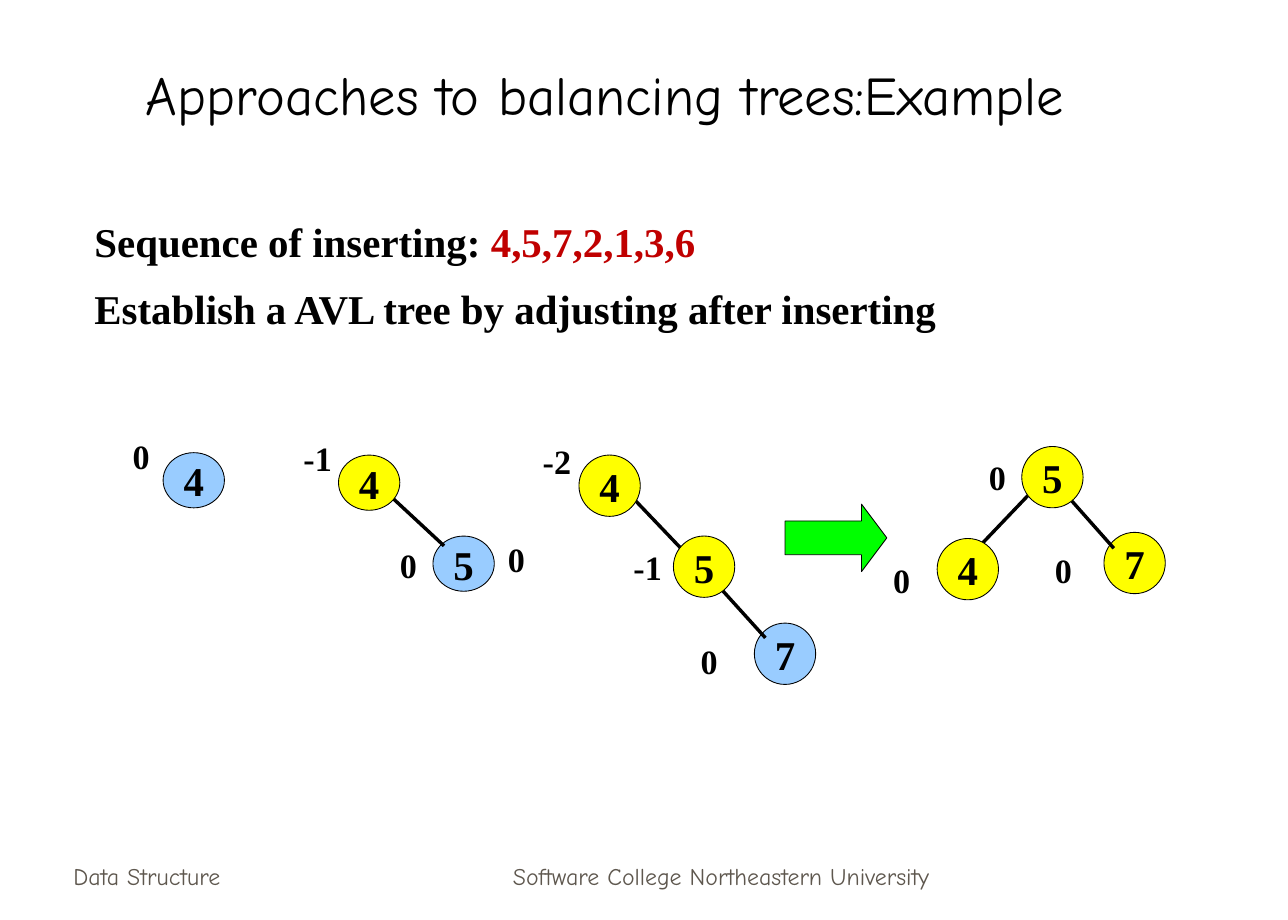
from pptx import Presentation
from pptx.dml.color import RGBColor
from pptx.enum.shapes import MSO_CONNECTOR, MSO_SHAPE
from pptx.enum.text import MSO_ANCHOR, MSO_AUTO_SIZE, PP_ALIGN
from pptx.oxml.ns import qn
from pptx.util import Pt

STRAIGHT = MSO_CONNECTOR.STRAIGHT
OVAL, RIGHT_ARROW = MSO_SHAPE.OVAL, MSO_SHAPE.RIGHT_ARROW
TOP, MIDDLE, BOTTOM = MSO_ANCHOR.TOP, MSO_ANCHOR.MIDDLE, MSO_ANCHOR.BOTTOM
LEFT, CENTER, JUSTIFY = PP_ALIGN.LEFT, PP_ALIGN.CENTER, PP_ALIGN.JUSTIFY
NO_AUTOFIT = MSO_AUTO_SIZE.NONE

SERIF, HAND = "Times New Roman", "Comic Neue"
BLACK, RED, GRAY = "000000", "C00000", "5E574E"
BLUE, YELLOW, GREEN = "99CCFF", "FFFF00", "00FF00"
NODE_WIDTH, LABEL_WIDTH = 36, 41.76

TREES = [
    {
        "height": 32.4,
        "label_height": 22.32,
        "new": ("4", 95.76, 265.68, BLUE),
        "edges": [],
        "nodes": [],
        "balances": [("0", 61.92, 256.32)],
    },
    {
        "height": 32.4,
        "label_height": 22.32,
        "new": ("5", 254.16, 314.64, BLUE),
        "edges": [(260.64, 320.4, 230.4, 292.32)],
        "nodes": [("4", 198.72, 267.12, YELLOW)],
        "balances": [("-1", 165.6, 257.76), ("0", 218.88, 320.4), ("0", 282.24, 316.8)],
    },
    {
        "height": 36,
        "label_height": 25.2,
        "new": ("7", 442.8, 365.76, BLUE),
        "edges": [(401.04, 323.28, 371.52, 292.32), (421.2, 343.44, 449.28, 374.4)],
        "nodes": [("4", 339.84, 267.12, YELLOW), ("5", 395.28, 314.64, YELLOW)],
        "balances": [("-2", 306, 257.76), ("-1", 359.28, 320.4), ("0", 395.28, 375.12)],
    },
    {
        "height": 36,
        "label_height": 25.2,
        "new": ("7", 648, 312.48, YELLOW),
        "edges": [(603.36, 290.88, 573.84, 321.84), (625.68, 290.16, 653.76, 321.84)],
        "nodes": [("4", 550.08, 316.08, YELLOW), ("5", 599.76, 262.08, YELLOW)],
        "balances": [("0", 564.48, 267.12), ("0", 508.32, 327.6), ("0", 603.36, 321.84)],
    },
]


def color(value):
    return RGBColor.from_string(value)


def place(shape, left, top, width, height):
    shape.left, shape.top = Pt(left), Pt(top)
    shape.width, shape.height = Pt(width), Pt(height)


def setup_frame(shape, anchor, wrap=True):
    frame = shape.text_frame
    frame.auto_size = NO_AUTOFIT
    frame.word_wrap = wrap
    frame.vertical_anchor = anchor
    frame.margin_left = frame.margin_right = Pt(7.2)
    frame.margin_top = frame.margin_bottom = Pt(3.6)
    return frame


def add_span(para, text, font=SERIF, size=24, bold=True, fill=BLACK):
    span = para.add_run()
    span.text = text
    span.font.name = font
    span.font.size = Pt(size)
    span.font.bold = bold
    span.font.color.rgb = color(fill)


def write_line(shape, text, align=CENTER, anchor=MIDDLE, wrap=False, **span_format):
    para = setup_frame(shape, anchor, wrap).paragraphs[0]
    para.alignment = align
    add_span(para, text, **span_format)


def style_shape(shape, fill):
    shape.shadow.inherit = False
    shape.fill.solid()
    shape.fill.fore_color.rgb = color(fill)
    shape.line.color.rgb = color(BLACK)
    shape.line.width = Pt(0.5)


def add_text(shapes, text, left, top, width, height, **text_format):
    box = shapes.add_textbox(Pt(left), Pt(top), Pt(width), Pt(height))
    write_line(box, text, **text_format)


def add_node(shapes, text, left, top, fill, height):
    node = shapes.add_shape(OVAL, Pt(left), Pt(top), Pt(NODE_WIDTH), Pt(height))
    style_shape(node, fill)
    write_line(node, text)


def add_edge(shapes, *ends):
    edge = shapes.add_connector(STRAIGHT, *(Pt(end) for end in ends))
    edge.line.color.rgb = color(BLACK)
    edge.line.width = Pt(2)
    properties = edge._element.spPr
    properties.append(properties.makeelement(qn("a:effectLst"), {}))


def add_tree(page, tree):
    shapes = page.shapes.add_group_shape().shapes
    add_node(shapes, *tree["new"], tree["height"])
    for ends in tree["edges"]:
        add_edge(shapes, *ends)
    for node in tree["nodes"]:
        add_node(shapes, *node, tree["height"])
    for text, left, top in tree["balances"]:
        add_text(shapes, text, left, top, LABEL_WIDTH, tree["label_height"], size=20)


def fill_body(body, lines):
    place(body, 48.24, 113.76, 693.36, 84.96)
    frame = setup_frame(body, TOP)
    for index, spans in enumerate(lines):
        para = frame.add_paragraph() if index else frame.paragraphs[0]
        properties = para._p.get_or_add_pPr()
        properties.set("marL", "0")
        properties.set("indent", "0")
        properties.append(properties.makeelement(qn("a:buNone"), {}))
        para.alignment = JUSTIFY
        para.line_spacing = 1.35
        para.space_before = Pt(0)
        for text, fill in spans:
            add_span(para, text, fill=fill)


def add_footer(page, text, left, width, align):
    add_text(page.shapes, text, left, 490.32, width, 36, align=align, anchor=BOTTOM,
             wrap=True, font=HAND, size=14, bold=False, fill=GRAY)


def main():
    deck = Presentation()
    deck.slide_width, deck.slide_height = Pt(756), Pt(540)
    page = deck.slides.add_slide(deck.slide_layouts[1])

    title = page.shapes.title
    place(title, 33.84, 18, 642.96, 59.76)
    write_line(title, "Approaches to balancing trees:Example", anchor=BOTTOM,
               wrap=True, font=HAND, size=32, bold=False)

    fill_body(page.placeholders[1], [
        [("Sequence of inserting: ", BLACK), ("4,5,7,2,1,3,6", RED)],
        [("Establish a AVL tree by adjusting after inserting", BLACK)],
    ])

    for tree in TREES:
        add_tree(page, tree)

    arrow = page.shapes.add_shape(RIGHT_ARROW, Pt(460.8), Pt(295.92), Pt(59.76), Pt(39.6))
    arrow.adjustments[0], arrow.adjustments[1] = 0.5, 0.375
    style_shape(arrow, GREEN)

    add_footer(page, "Data Structure", 36, 157.68, LEFT)
    add_footer(page, "Software College Northeastern University", 258.48, 329.76, CENTER)
    deck.save("out.pptx")


if __name__ == "__main__":
    main()
